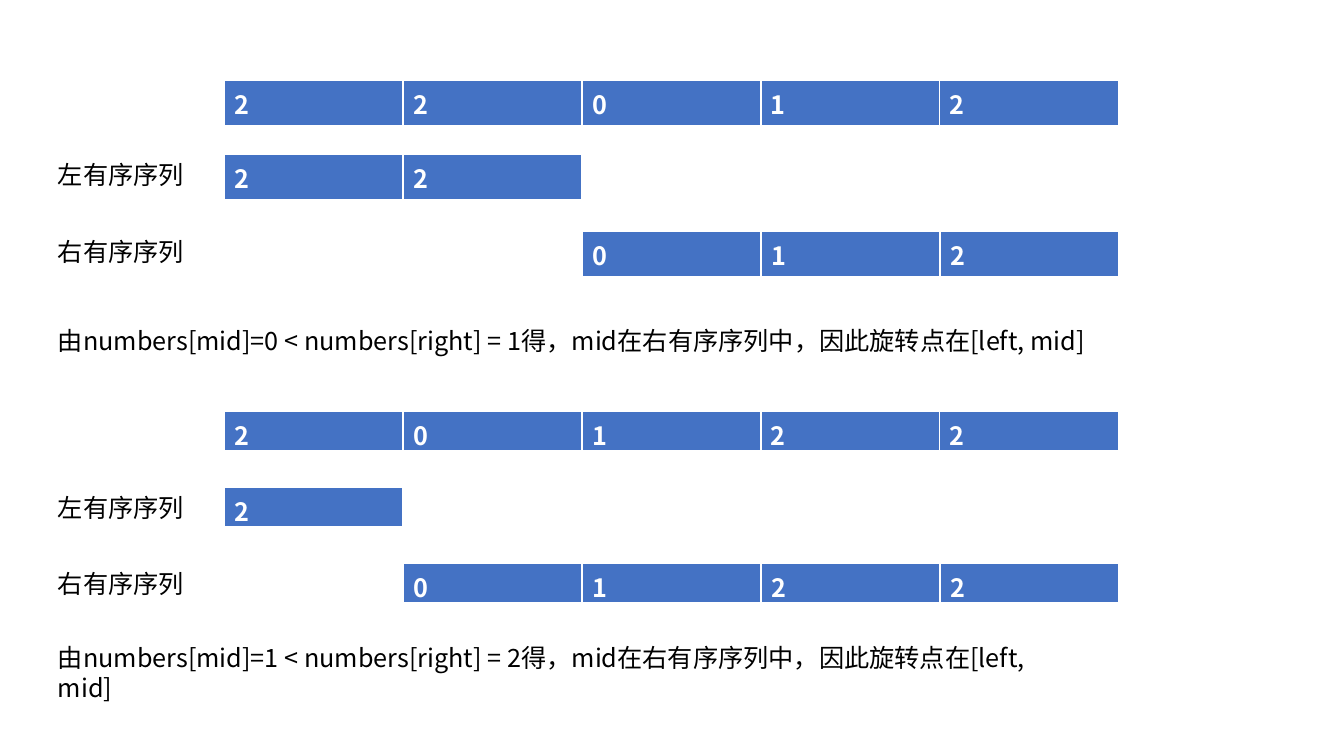
from pptx import Presentation
from pptx.dml.color import RGBColor
from pptx.enum.text import MSO_AUTO_SIZE
from pptx.oxml.ns import qn
from pptx.util import Pt
from lxml.etree import SubElement

FONT = "Noto Sans CJK SC"
BLUE, WHITE, BLACK = "4472C4", "FFFFFF", "000000"
CELL_WIDTH, CELL_HEIGHT = 179, 41
LABEL_LEFT, ARRAY_LEFT = 48, 224


def px(length):
    """Turn pixels into EMU."""
    return round(length * 914400 / 100.8)


def color(value):
    """Turn a hex string into a colour."""
    return RGBColor.from_string(value)


def format_text(frame, hex_color, bold=False):
    """Give every run the shared font and size."""
    for para in frame.paragraphs:
        for span in para.runs:
            font = span.font
            font.name, font.size, font.bold = FONT, Pt(18), bold
            font.color.rgb = color(hex_color)
            SubElement(span._r.get_or_add_rPr(), qn("a:ea"), typeface=FONT)


def add_borders(cell):
    """Draw thin white borders with a thicker one below the cell."""
    properties = cell._tc.get_or_add_tcPr()
    for index, (side, points) in enumerate([("L", 1), ("R", 1), ("T", 1), ("B", 3)]):
        line = properties.makeelement(qn(f"a:ln{side}"), {"w": str(Pt(points))})
        fill = SubElement(line, qn("a:solidFill"))
        SubElement(fill, qn("a:srgbClr"), val=WHITE)
        properties.insert(index, line)


def add_array(page, start, top, values, bottom_margin):
    """Place values as a one-row table beginning at a column of the full array."""
    left = ARRAY_LEFT + start * CELL_WIDTH
    table = page.shapes.add_table(
        1, len(values), px(left), px(top),
        px(len(values) * CELL_WIDTH), px(CELL_HEIGHT)).table
    for cell, value in zip(table.rows[0].cells, values):
        cell.text_frame.text = value
        cell.margin_bottom = px(bottom_margin)
        cell.fill.solid()
        cell.fill.fore_color.rgb = color(BLUE)
        format_text(cell.text_frame, WHITE, bold=True)
        add_borders(cell)


def add_text(page, top, width, height, text, wrap=True):
    """Place a black text box at the left edge of the content."""
    box = page.shapes.add_textbox(px(LABEL_LEFT), px(top), px(width), px(height))
    frame = box.text_frame
    frame.text = text
    frame.word_wrap = wrap
    frame.auto_size = MSO_AUTO_SIZE.SHAPE_TO_FIT_TEXT
    format_text(frame, BLACK)


def add_example(page, top, left_part, right_parts, offsets, conclusion, bottom_margin):
    """Place the full array, its two sorted parts and the conclusion below top."""
    left_top, right_top, conclusion_top = (top + offset for offset in offsets)
    add_array(page, 0, top, left_part + "".join(right_parts), bottom_margin)
    add_array(page, 0, left_top, left_part, bottom_margin)
    start = len(left_part)
    for part in right_parts:
        add_array(page, start, right_top, part, bottom_margin)
        start += len(part)
    add_text(page, left_top, 147, 40, "左有序序列", wrap=False)
    add_text(page, right_top, 147, 40, "右有序序列", wrap=False)
    middle, right, width, height = conclusion
    add_text(page, conclusion_top, width, height,
             f"由numbers[mid]={middle} < numbers[right] = {right}得，"
             "mid在右有序序列中，因此旋转点在[left, mid]")


deck = Presentation()
deck.slide_width, deck.slide_height = px(1344), px(756)
page = deck.slides.add_slide(deck.slide_layouts[6])
add_example(page, 80, "22", ["012"], (74, 151, 240), (0, 1, 1114, 72), 5)
add_example(page, 411, "2", ["0", "122"], (76, 152, 226), (1, 2, 1031, 40), 0)
deck.save("out.pptx")
